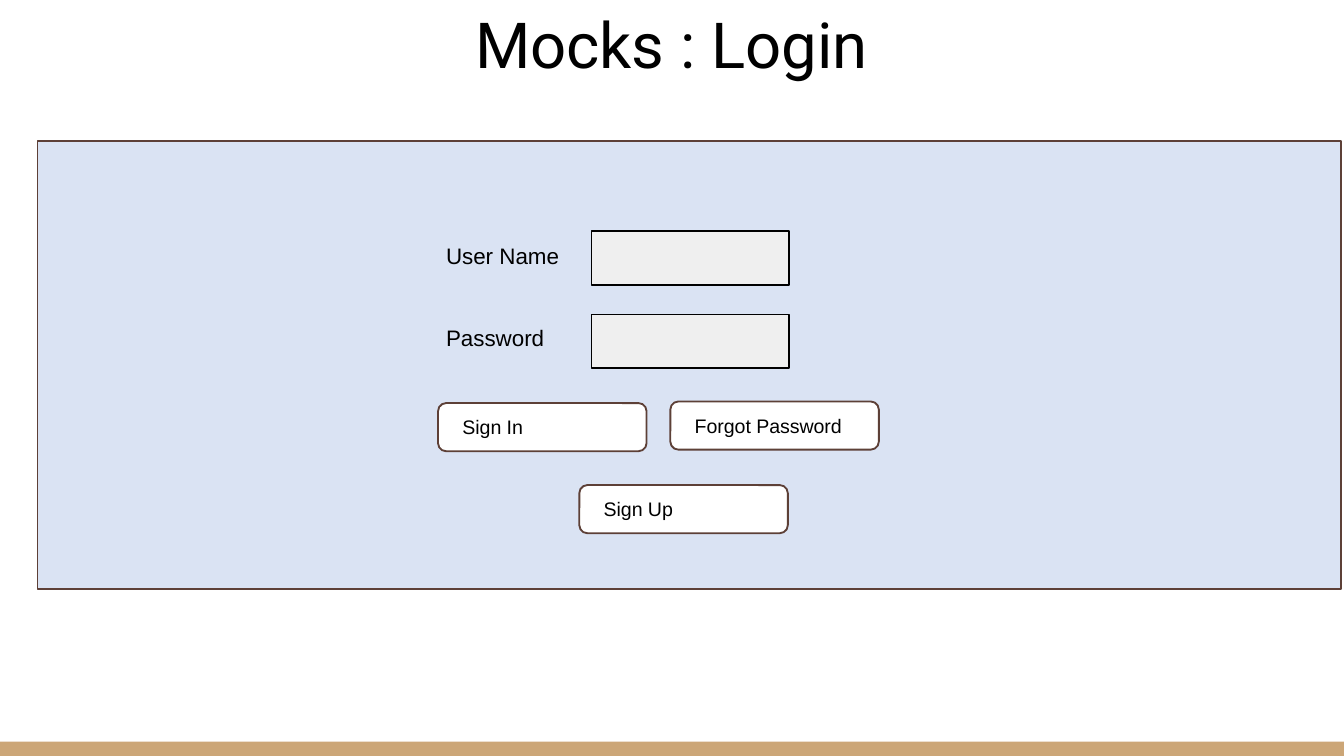
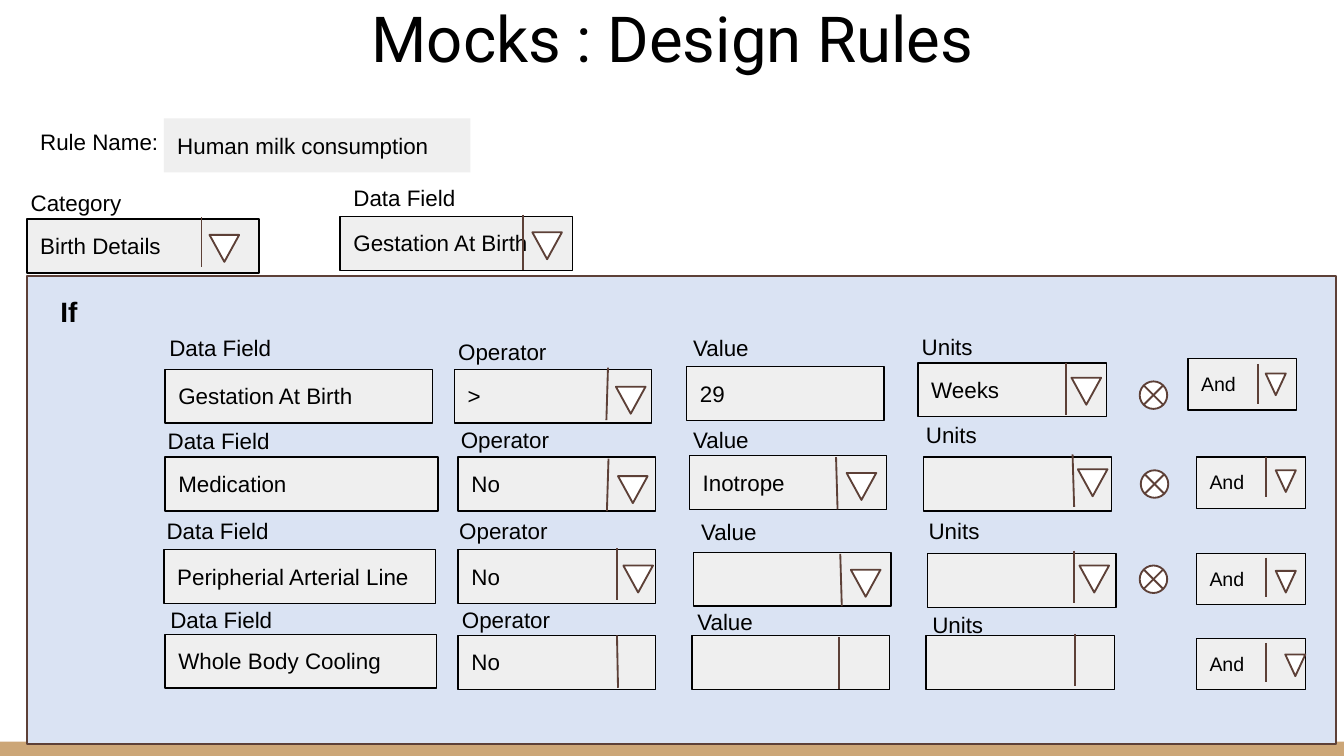
import pptx
import pptx.dml.color
import pptx.enum.shapes
import pptx.enum.text
import pptx.oxml
import pptx.oxml.ns
import pptx.util

Cm = pptx.util.Cm
RGBColor = pptx.dml.color.RGBColor
SHAPE = pptx.enum.shapes.MSO_SHAPE
ALIGN = pptx.enum.text.PP_ALIGN
ANCHOR = pptx.enum.text.MSO_ANCHOR

BLACK = RGBColor(0x00, 0x00, 0x00)
WHITE = RGBColor(0xFF, 0xFF, 0xFF)
BROWN = RGBColor(0x5D, 0x40, 0x37)
TAN = RGBColor(0xCC, 0xA6, 0x77)
PALE_BLUE = RGBColor(0xDA, 0xE3, 0xF3)
PALE_GREY = RGBColor(0xEF, 0xEF, 0xEF)

PAGE_WIDTH, PAGE_HEIGHT = 25.4, 14.29
BAND_TOP = 14.02
FIELD_WIDTH, FIELD_HEIGHT = 3.73, 1.02
UNITS_WIDTH = 3.56
HEADER_WIDTH = 4.39
INSET = 0.25

# Column captions with their field widths; the first width varies by row.
COLUMNS = [("Data Field", None), ("Operator", FIELD_WIDTH),
           ("Value", FIELD_WIDTH), ("Units", UNITS_WIDTH)]

# For each condition: the width of its first field, then for each column
# (text, caption place, field place, divider, arrow).
# Dividers are (x, y, slant) and arrows (x, y), both from the field's corner.
CONDITIONS = [
    (5.05, [
        ("Gestation At Birth", (2.95, 6.07), (3.12, 6.98), None, None),
        (">", (8.41, 6.15), (8.59, 6.98), (2.9, -0.03, -0.03), (3.05, 0.33)),
        ("29", (12.85, 6.07), (12.98, 6.93), None, None),
        ("Weeks", (17.17, 6.05), (17.35, 6.86), (2.79, 0, 0), (2.9, 0.28))]),
    (5.16, [
        ("Medication", (2.92, 7.82), (3.12, 8.64), None, None),
        ("No", (8.46, 7.8), (8.66, 8.64), (2.84, 0.03, -0.03), (3.02, 0.36)),
        ("Inotrope", (12.85, 7.8), (13.03, 8.61), (2.77, 0.03, 0.03), (2.97, 0.33)),
        ("", (17.25, 7.72), (17.45, 8.64), (2.82, -0.05, 0.03), (2.92, 0.23))]),
    (5.13, [
        ("Peripherial Arterial Line", (2.9, 9.53), (3.1, 10.39), None, None),
        ("No", (8.43, 9.53), (8.66, 10.39), (3, -0.03, 0), (3.12, 0.3)),
        ("", (13, 9.55), (13.11, 10.44), (2.77, 0.03, 0.03), (2.97, 0.33)),
        ("", (17.3, 9.53), (17.53, 10.46), (2.77, -0.05, 0), (2.87, 0.23))]),
    (5.13, [
        ("Whole Body Cooling", (2.97, 11.2), (3.12, 11.99), None, None),
        ("No", (8.48, 11.2), (8.66, 12.01), (3, 0, 0.02), None),
        ("", (12.93, 11.25), (13.08, 12.01), (2.77, 0.03, 0), None),
        ("", (17.37, 11.3), (17.5, 12.01), (2.82, -0.03, 0), None)]),
]

# Field place, divider and arrow of the "And" list that ends each condition.
JOINERS = [((22.45, 6.78), (1.32, 0.1, 0), (1.47, 0.28)),
           ((22.61, 8.64), (1.32, 0, 0), (1.5, 0.25)),
           ((22.61, 10.46), (1.32, 0.08, 0), (1.5, 0.33)),
           ((22.61, 12.07), (1.32, 0.08, 0), (1.68, 0.3))]

REMOVE_MARKS = [(21.54, 7.21), (21.56, 8.89), (21.54, 10.69)]


class MockDeck:
    """Holds the deck, its style and the page being drawn."""

    def __init__(self):
        self.deck = pptx.Presentation()
        self.deck.slide_width = Cm(PAGE_WIDTH)
        self.deck.slide_height = Cm(PAGE_HEIGHT)
        self.layout = self.deck.slide_layouts.get_by_name("Title Only")
        self.page = None

    def add_page(self, title, left, top, width):
        first = self.page is None
        self.page = self.deck.slides.add_slide(self.layout)
        if first:
            self.add_master_band()
        box = self.page.shapes.title
        box.left, box.top, box.width, box.height = Cm(left), Cm(top), Cm(width), Cm(1.5)
        self.set_text(box, title, 34, "Roboto", ALIGN.CENTER, (0.18, 0.1))
        box.text_frame.vertical_anchor = ANCHOR.BOTTOM

    def add_master_band(self):
        """Draw the bottom band and move it to the slide master."""
        band = self.shape(SHAPE.RECTANGLE, 0, BAND_TOP, PAGE_WIDTH,
                          PAGE_HEIGHT - BAND_TOP, TAN)
        band.element.nvSpPr.cNvPr.set("id", "90")
        self.deck.slide_master.shapes.element.append(band.element)

    def set_text(self, box, text, size, font="Arial", align=None,
                 insets=(INSET, INSET), bold=False):
        frame = box.text_frame
        frame.word_wrap = True
        frame.auto_size = pptx.enum.text.MSO_AUTO_SIZE.NONE
        frame.vertical_anchor = ANCHOR.TOP
        frame.margin_left = frame.margin_right = Cm(insets[0])
        frame.margin_top = frame.margin_bottom = Cm(insets[1])
        frame.text = text
        para = frame.paragraphs[0]
        para.alignment = align or ALIGN.LEFT
        for span in para.runs:
            span.font.name = font
            span.font.size = pptx.util.Pt(size)
            span.font.bold = bold
            span.font.color.rgb = BLACK

    def shape(self, kind, left, top, width, height, fill, line=None, weight=1):
        box = self.page.shapes.add_shape(kind, Cm(left), Cm(top), Cm(width), Cm(height))
        box.shadow.inherit = False
        box.fill.solid()
        box.fill.fore_color.rgb = fill
        if line is None:
            box.line.fill.background()
        else:
            box.line.color.rgb = line
            box.line.width = pptx.util.Pt(weight)
        return box

    def panel(self, left, top, width, height):
        self.shape(SHAPE.RECTANGLE, left, top, width, height, PALE_BLUE, BROWN)

    def label(self, text, left, top, width=FIELD_WIDTH, height=FIELD_HEIGHT,
              size=12, **style):
        box = self.page.shapes.add_textbox(Cm(left), Cm(top), Cm(width), Cm(height))
        self.set_text(box, text, size, **style)

    def field(self, text, left, top, width=FIELD_WIDTH, height=FIELD_HEIGHT,
              size=12, line=BLACK, align=None):
        box = self.shape(SHAPE.RECTANGLE, left, top, width, height,
                         PALE_GREY, line, 0.75)
        if text:
            self.set_text(box, text, size, align=align)

    def divider(self, left, top, slant, length):
        line = self.page.shapes.add_connector(
            pptx.enum.shapes.MSO_CONNECTOR.STRAIGHT,
            Cm(left), Cm(top), Cm(left + slant), Cm(top + length))
        line.line.color.rgb = BROWN
        line.line.width = pptx.util.Pt(1)
        effects = pptx.oxml.parse_xml(
            "<a:effectLst %s/>" % pptx.oxml.ns.nsdecls("a"))
        line.element.spPr.append(effects)

    def dropdown(self, text, place, width, divider, arrow, height=FIELD_HEIGHT,
                 size=12, length=0.99, arrow_size=(0.56, 0.51), align=None):
        """A field with an optional divider and arrow, placed from its corner."""
        left, top = place
        self.field(text, left, top, width, height, size, align=align)
        if divider:
            x, y, slant = divider
            self.divider(left + x, top + y, slant, length)
        if arrow:
            x, y = arrow
            triangle = self.shape(SHAPE.ISOSCELES_TRIANGLE, left + x, top + y,
                                  *arrow_size, WHITE, BROWN)
            triangle.rotation = 180

    def button(self, text, left, top):
        self.shape(SHAPE.ROUNDED_RECTANGLE, left, top, 3.94, 0.91, WHITE, BROWN)
        self.label(text, left + 0.36, top + 0.13, height=0.64, size=10.5,
                   insets=(0.1, 0.1))

    def remove_mark(self, left, top):
        self.shape(SHAPE.FLOWCHART_SUMMING_JUNCTION, left, top, 0.52, 0.52,
                   WHITE, BROWN)


def draw_login(mock):
    mock.add_page("Mocks : Login", 0.03, 0.13, 25.32)
    mock.panel(0.71, 2.67, 24.64, 8.46)
    for text, label_top, field_top in [("User Name", 4.32, 4.37),
                                       ("Password", 5.87, 5.94)]:
        mock.label(text, 8.18, label_top)
        mock.field("", 11.18, field_top)
    mock.button("Sign In", 8.28, 7.62)
    mock.button("Forgot Password", 12.67, 7.59)
    mock.button("Sign Up", 10.95, 9.17)


def draw_design_rules(mock):
    mock.add_page("Mocks : Design Rules", 0.38, 0.03, 24.66)
    mock.panel(0.51, 5.21, 24.74, 8.86)
    mock.label("Rule Name:", 0.51, 2.18)
    mock.field("Human milk consumption", 3.1, 2.24, 5.79, line=None)
    mock.label("Category", 0.33, 3.33)
    mock.dropdown("Birth Details", (0.51, 4.14), HEADER_WIDTH,
                  (3.3, -0.03, 0), (3.45, 0.3), length=0.94)
    mock.label("Data Field", 6.43, 3.23)
    mock.dropdown("Gestation At Birth", (6.43, 4.09), HEADER_WIDTH,
                  (3.45, -0.03, 0), (3.63, 0.3), length=1.04)
    mock.label("If", 0.89, 5.31, 1.9, 1.14, size=15, bold=True)

    for first_width, cells in CONDITIONS:
        for (caption, width), cell in zip(COLUMNS, cells):
            text, caption_place, place, divider, arrow = cell
            mock.label(caption, *caption_place, align=ALIGN.JUSTIFY)
            mock.dropdown(text, place, width or first_width, divider, arrow,
                          align=ALIGN.JUSTIFY)
    for place, divider, arrow in JOINERS:
        mock.dropdown("And", place, 2.06, divider, arrow, height=0.97, size=10.5,
                      length=0.75, arrow_size=(0.38, 0.41), align=ALIGN.JUSTIFY)
    for place in REMOVE_MARKS:
        mock.remove_mark(*place)


def main():
    mock = MockDeck()
    draw_login(mock)
    draw_design_rules(mock)
    mock.deck.save("out.pptx")


if __name__ == "__main__":
    main()
